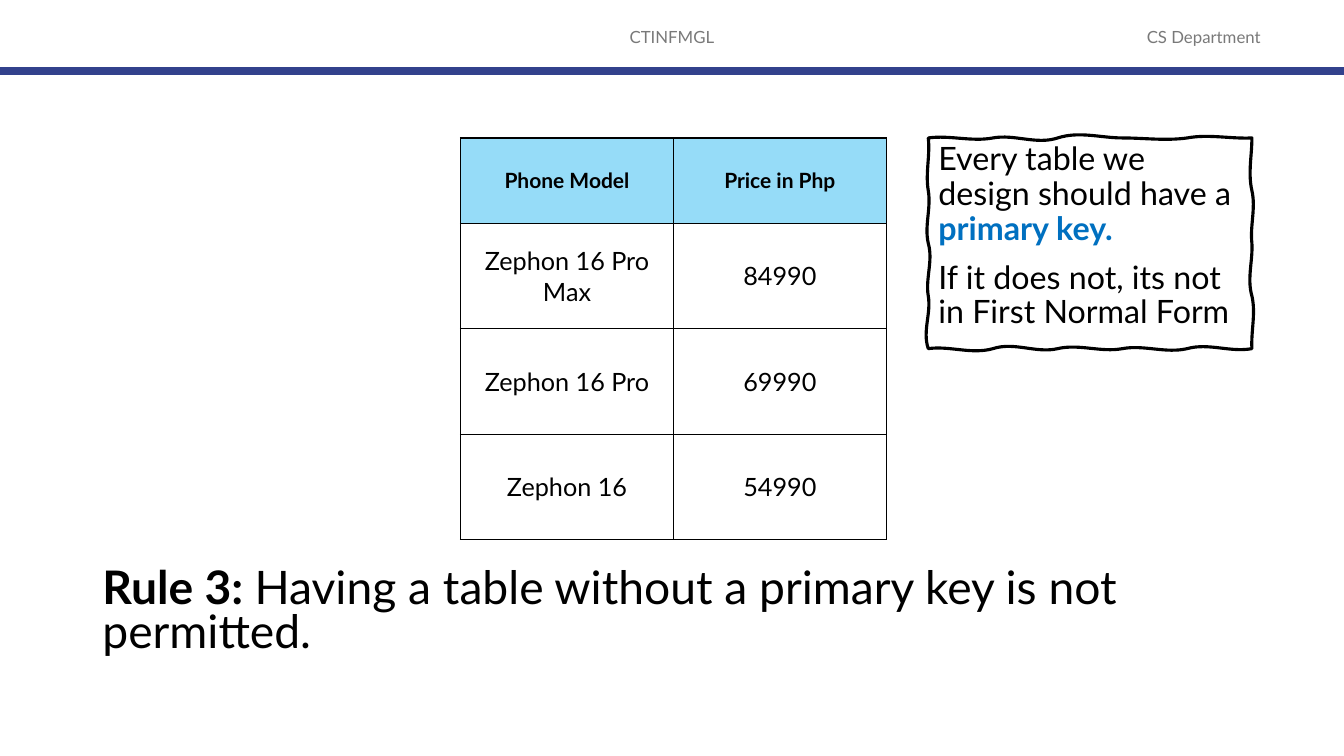
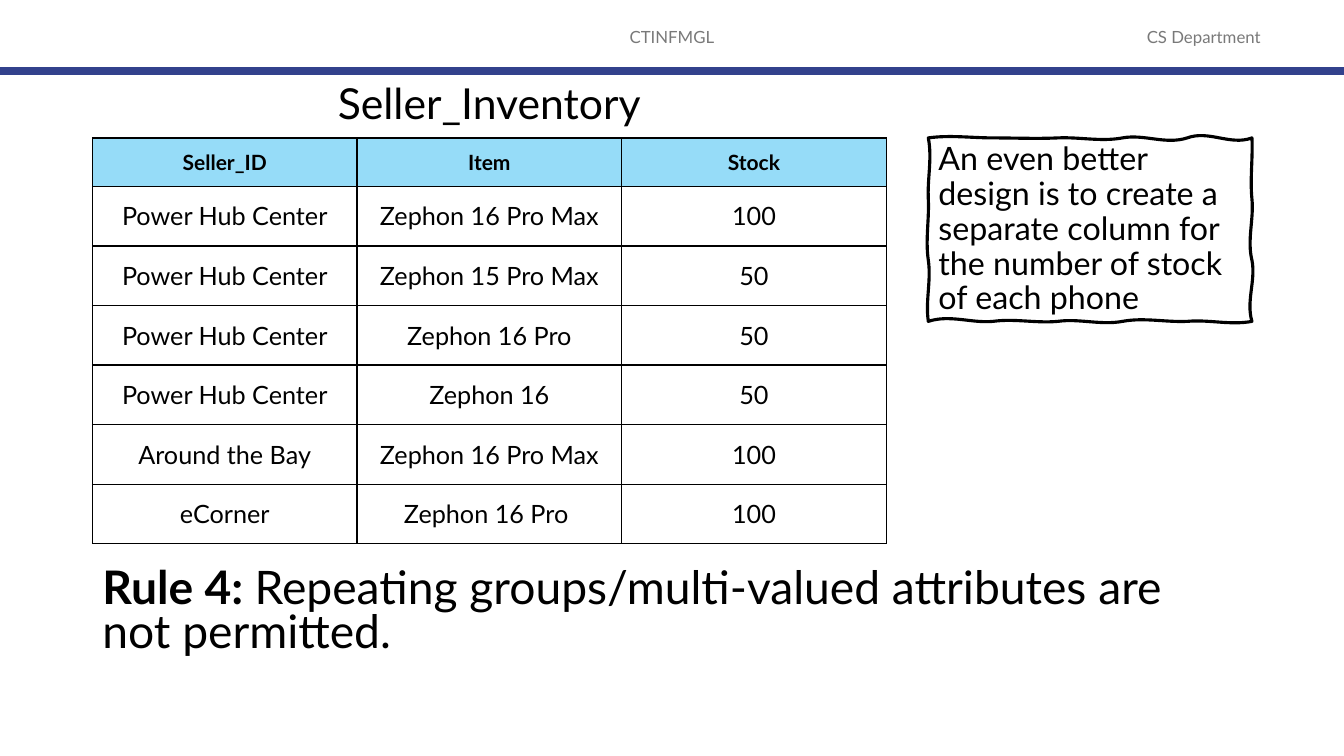
"""Build two slides on the rules of First Normal Form."""
from lxml.etree import SubElement
from pptx import Presentation
from pptx.dml.color import RGBColor
from pptx.enum.shapes import MSO_CONNECTOR
from pptx.enum.text import MSO_ANCHOR, MSO_AUTO_SIZE, PP_ALIGN
from pptx.oxml import parse_xml
from pptx.oxml.ns import nsdecls, qn
from pptx.util import Inches, Pt

BLACK = RGBColor(0x00, 0x00, 0x00)
GRAY = RGBColor(0x79, 0x79, 0x79)
NAVY = RGBColor(0x32, 0x41, 0x8C)
SKY = RGBColor(0x96, 0xDC, 0xF8)
BLUE = RGBColor(0x00, 0x70, 0xC0)
FONT = "Lato"

deck = Presentation()
deck.slide_width, deck.slide_height = Inches(13.33), Inches(7.5)
COL, ROW = deck.slide_width / 100, deck.slide_height / 100
TOP, TABLE_RIGHT = 18.25, 65.95
NOTE_LEFT, NOTE_WIDTH = 69.07, 24.08

HEADERS = [("CTINFMGL", 33.12, 33.75), ("CS Department", 81.87, 15.4)]
SLIDES = [
    {
        "rule": ("Rule 3: ", "Having a table without a primary key is not permitted."),
        "caption": None,
        "column": 15.84,
        "heights": (11.3, 13.95),
        "rows": [
            ("Phone Model", "Price in Php"),
            ("Zephon 16 Pro Max", "84990"),
            ("Zephon 16 Pro", "69990"),
            ("Zephon 16", "54990"),
        ],
        "note": [
            [("Every table we design should have a ", None), ("primary key.", BLUE)],
            [("If it does not, its not in First Normal Form", None)],
        ],
        "note_height": 27.87,
        "waves": [
            [(-3, 4), (-4, 7), (-7, 0), (0, 3), (-4, 1)],
            [(0, -4), (4, -2), (1, -5), (4, -1)],
            [(4, -6), (5, -4), (4, -5), (5, -7), (6, -3)],
            [(-6, 3), (-3, 5), (-4, 3), (-3, 2)],
        ],
    },
    {
        "rule": ("Rule 4: ", "Repeating groups/multi-valued attributes are not permitted."),
        "caption": "Seller_Inventory",
        "column": 19.69,
        "heights": (6.4, 7.88),
        "rows": [
            ("Seller_ID", "Item", "Stock"),
            ("Power Hub Center", "Zephon 16 Pro Max", "100"),
            ("Power Hub Center", "Zephon 15 Pro Max", "50"),
            ("Power Hub Center", "Zephon 16 Pro", "50"),
            ("Power Hub Center", "Zephon 16", "50"),
            ("Around the Bay", "Zephon 16 Pro Max", "100"),
            ("eCorner", "Zephon 16 Pro ", "100"),
        ],
        "note": [[("An even better design is to create a separate column for "
                   "the number of stock of each phone", None)]],
        "note_height": 24.27,
        "waves": [
            [(-3, 0), (0, 1), (-1, 4), (-4, 7), (-8, 8)],
            [(1, -2), (2, -5), (4, -6)],
            [(4, -2), (1, -4), (4, -3), (2, -3), (2, -7)],
            [(-3, 3), (-3, 1), (-1, 4)],
        ],
    },
]


def place(left, top, width, height):
    return round(left * COL), round(top * ROW), round(width * COL), round(height * ROW)


def write(frame, paragraphs, size, color=BLACK, align=PP_ALIGN.LEFT, spacing=None):
    frame.word_wrap = True
    for number, runs in enumerate(paragraphs):
        paragraph = frame.paragraphs[0] if number == 0 else frame.add_paragraph()
        paragraph.alignment = align
        paragraph.font.name, paragraph.font.size = FONT, Pt(size)
        paragraph.font.color.rgb = color
        if spacing:
            paragraph.line_spacing, paragraph.space_before = spacing, Pt(10)
        for text, accent, bold in runs:
            run = paragraph.add_run()
            run.text, run.font.bold = text, bold
            if accent:
                run.font.color.rgb = accent


for content in SLIDES:
    slide = deck.slides.add_slide(deck.slide_layouts[5])
    shapes = slide.shapes

    for label, left, width in HEADERS:
        header = shapes.add_textbox(*place(left, 2.2, width, 5.3)).text_frame
        header.vertical_anchor = MSO_ANCHOR.MIDDLE
        write(header, [[(label, None, False)]], 12, GRAY, PP_ALIGN.CENTER)
    band_y = round(9.4 * ROW)
    band = shapes.add_connector(MSO_CONNECTOR.STRAIGHT, 0, band_y, deck.slide_width, band_y)
    band.line.color.rgb, band.line.width = NAVY, Pt(6)
    SubElement(band._element.spPr, qn("a:effectLst"))

    rule = shapes.title
    rule.left, rule.top, rule.width, rule.height = place(6.87, 74.57, 86.25, 14.3)
    rule.text_frame.auto_size = MSO_AUTO_SIZE.NONE
    rule.text_frame.vertical_anchor = MSO_ANCHOR.TOP
    name, statement = content["rule"]
    write(rule.text_frame, [[(name, None, True), (statement, None, False)]], 33, spacing=0.8)

    rows = content["rows"]
    head_height, body_height = content["heights"]
    table_width = content["column"] * len(rows[0])
    table_height = head_height + body_height * (len(rows) - 1)
    table = shapes.add_table(len(rows), len(rows[0]), *place(
        TABLE_RIGHT - table_width, TOP, table_width, table_height)).table
    table.first_row = table.horz_banding = False
    for r, row in enumerate(rows):
        is_head = r == 0
        table.rows[r].height = round((head_height if is_head else body_height) * ROW)
        for c, value in enumerate(row):
            cell = table.cell(r, c)
            cell.vertical_anchor = MSO_ANCHOR.MIDDLE
            write(cell.text_frame, [[(value, None, is_head)]],
                  15 if is_head else 18, align=PP_ALIGN.CENTER)
            if is_head:
                cell.fill.solid()
                cell.fill.fore_color.rgb = SKY
            else:
                cell.fill.background()
            for position, side in enumerate(("lnL", "lnR", "lnT", "lnB")):
                cell._tc.get_or_add_tcPr().insert(position, parse_xml(
                    f'<a:{side} {nsdecls("a")} w="12700"><a:solidFill>'
                    f'<a:srgbClr val="{BLACK}"/></a:solidFill></a:{side}>'))

    x, y, width, height = place(NOTE_LEFT, TOP, NOTE_WIDTH, content["note_height"])
    corners = [(x, y), (x + width, y), (x + width, y + height), (x, y + height)]
    curve_points = []
    for side, waves in enumerate(content["waves"]):
        (x1, y1), (x2, y2) = corners[side], corners[(side + 1) % 4]
        for w, (rise, fall) in enumerate(waves):
            for third, offset in enumerate((rise, fall, 0), start=1):
                share = (w + third / 3) / len(waves)
                drift = Inches(offset / 100)
                px, py = x1 + (x2 - x1) * share, y1 + (y2 - y1) * share
                curve_points.append((px, py + drift) if side % 2 == 0 else (px + drift, py))
    sketch = shapes.build_freeform(x, y)
    sketch.add_line_segments(curve_points, close=True)
    note = sketch.convert_to_shape()
    segments = list(note._element.iter(qn("a:lnTo")))
    for first, second, end in zip(segments[::3], segments[1::3], segments[2::3]):
        first.tag = qn("a:cubicBezTo")
        for segment in (second, end):
            first.append(segment[0])
            segment.getparent().remove(segment)
    note.shadow.inherit = False
    note.fill.background()
    note.line.color.rgb, note.line.width = BLACK, Pt(2.25)
    frame = note.text_frame
    frame.vertical_anchor = MSO_ANCHOR.TOP
    frame.margin_left = x - note.left + Inches(0.1)
    frame.margin_right = note.left + note.width - x - width + Inches(0.1)
    frame.margin_top = y - note.top + Inches(0.05)
    write(frame, [[(text, accent, accent is not None) for text, accent in runs]
                  for runs in content["note"]], 23, spacing=0.9)

    if content["caption"]:
        caption = shapes.add_textbox(*place(24.4, 11.3, 26, 6.9)).text_frame
        write(caption, [[(content["caption"], None, False)]], 30.5, spacing=0.7)

deck.save("out.pptx")
